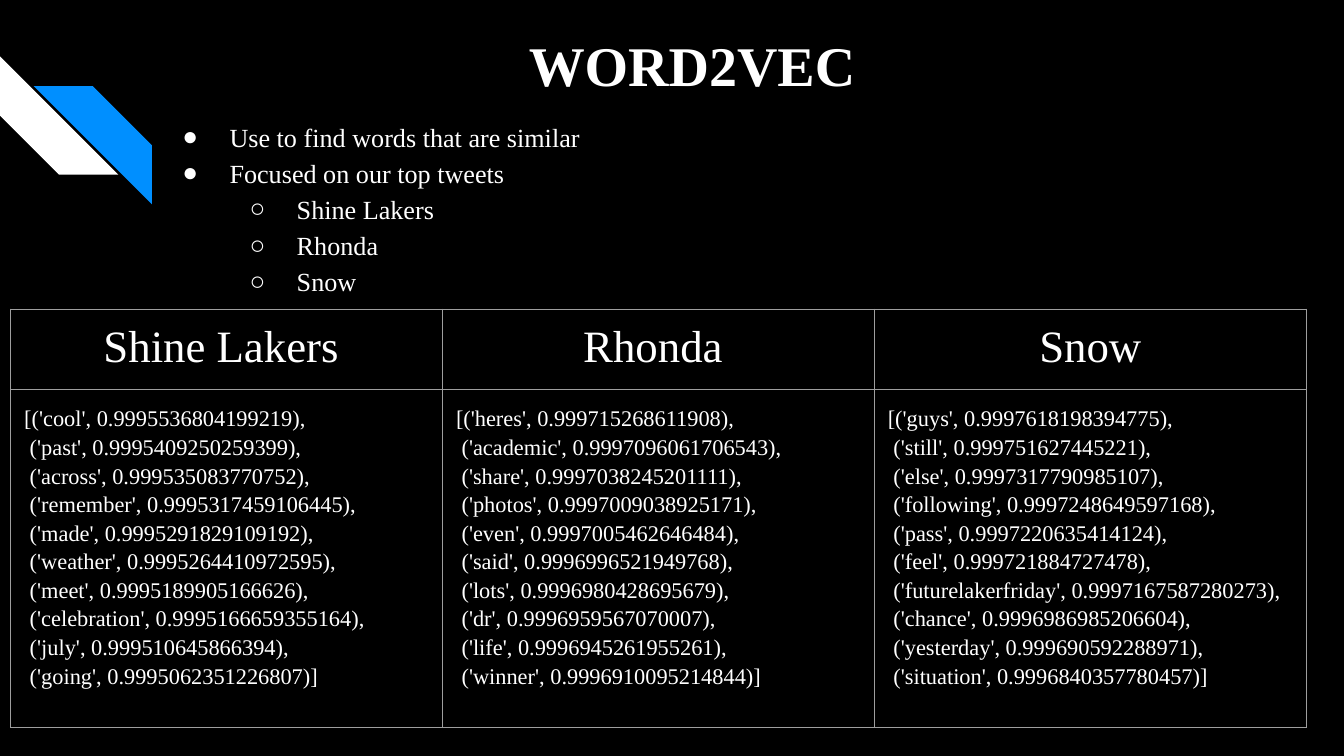
from lxml.etree import SubElement
from pptx import Presentation
from pptx.dml.color import RGBColor
from pptx.enum.shapes import MSO_SHAPE
from pptx.enum.text import MSO_ANCHOR, PP_ALIGN
from pptx.oxml.ns import qn
from pptx.util import Inches, Pt

BLACK = RGBColor(0x00, 0x00, 0x00)
WHITE = RGBColor(0xFF, 0xFF, 0xFF)
BLUE = RGBColor(0x00, 0x8F, 0xFF)
GREY = RGBColor(0x9E, 0x9E, 0x9E)
FONT = "Times New Roman"
INSET = 0.1
SLIDE_WIDTH = 10
SLIDE_HEIGHT = SLIDE_WIDTH * 9 / 16

# Content
TITLE = "WORD2VEC"
POINTS = [
    ("Use to find words that are similar", 0),
    ("Focused on our top tweets", 0),
    ("Shine Lakers", 1),
    ("Rhonda", 1),
    ("Snow", 1),
]
BULLETS = "●○"
SIMILAR_WORDS = {
    "Shine Lakers ": [
        ("cool", 0.9995536804199219), ("past", 0.9995409250259399),
        ("across", 0.999535083770752), ("remember", 0.9995317459106445),
        ("made", 0.9995291829109192), ("weather", 0.9995264410972595),
        ("meet", 0.9995189905166626), ("celebration", 0.9995166659355164),
        ("july", 0.999510645866394), ("going", 0.9995062351226807),
    ],
    "Rhonda ": [
        ("heres", 0.999715268611908), ("academic", 0.9997096061706543),
        ("share", 0.9997038245201111), ("photos", 0.9997009038925171),
        ("even", 0.9997005462646484), ("said", 0.9996996521949768),
        ("lots", 0.9996980428695679), ("dr", 0.9996959567070007),
        ("life", 0.9996945261955261), ("winner", 0.9996910095214844),
    ],
    "Snow": [
        ("guys", 0.9997618198394775), ("still", 0.999751627445221),
        ("else", 0.9997317790985107), ("following", 0.9997248649597168),
        ("pass", 0.9997220635414124), ("feel", 0.999721884727478),
        ("futurelakerfriday", 0.9997167587280273),
        ("chance", 0.9996986985206604), ("yesterday", 0.999690592288971),
        ("situation", 0.9996840357780457),
    ],
}
# left, top, rotation, colour
STRIPES = [(0, 0.42, 270, WHITE), (0.25, 0.64, 90, BLUE)]
STRIPE_SIZE = 0.88
TABLE_WIDTH = 9.64
ROW_HEIGHTS = [0.5, 2.51]


def write(frame, text, size, bold=False, align=PP_ALIGN.LEFT, spacing=None, level=None):
    """Add one paragraph to the frame, bulleted when a level is given."""
    first = frame.paragraphs[0]
    paragraph = frame.add_paragraph() if first.runs else first
    paragraph.alignment = align
    paragraph.line_spacing = spacing
    if level is not None:
        paragraph.level = level
        properties = paragraph._p.get_or_add_pPr()
        properties.set("marL", str(Inches(0.5 * (level + 1))))
        properties.set("indent", str(Inches(-0.35)))
        colour = SubElement(properties, qn("a:buClr"))
        SubElement(colour, qn("a:srgbClr"), val=str(WHITE))
        SubElement(properties, qn("a:buSzPts"), val=str(size * 100))
        SubElement(properties, qn("a:buFont"), typeface=FONT)
        SubElement(properties, qn("a:buChar"), char=BULLETS[level])
    for number, line in enumerate(text.split("\n")):
        if number:
            paragraph.add_line_break()
            SubElement(paragraph._p[-1], qn("a:rPr"), sz=str(size * 100))
        run = paragraph.add_run()
        run.text = line
        run.font.name = FONT
        run.font.size = Pt(size)
        run.font.bold = bold
        run.font.color.rgb = WHITE


def add_frame(slide, left, top, width, height):
    box = slide.shapes.add_textbox(Inches(left), Inches(top), Inches(width), Inches(height))
    frame = box.text_frame
    frame.word_wrap = True
    frame.margin_left = frame.margin_right = Inches(INSET)
    frame.margin_top = frame.margin_bottom = Inches(INSET)
    return frame


def format_cell(cell):
    """Thin grey borders, even insets and no fill."""
    properties = cell._tc.get_or_add_tcPr()
    for side in ("a:lnL", "a:lnR", "a:lnT", "a:lnB"):
        border = SubElement(properties, qn(side), w=str(Pt(0.75)))
        SubElement(SubElement(border, qn("a:solidFill")), qn("a:srgbClr"), val=str(GREY))
    cell.fill.background()
    cell.margin_left = cell.margin_right = Inches(INSET)
    cell.margin_top = cell.margin_bottom = Inches(INSET)


def main():
    deck = Presentation()
    deck.slide_width, deck.slide_height = Inches(SLIDE_WIDTH), Inches(SLIDE_HEIGHT)
    slide = deck.slides.add_slide(deck.slide_layouts[6])
    slide.background.fill.solid()
    slide.background.fill.fore_color.rgb = BLACK

    # Corner stripes
    for left, top, rotation, colour in STRIPES:
        stripe = slide.shapes.add_shape(
            MSO_SHAPE.DIAGONAL_STRIPE, Inches(left), Inches(top),
            Inches(STRIPE_SIZE), Inches(STRIPE_SIZE))
        stripe.rotation = rotation
        stripe.shadow.inherit = False
        stripe.fill.solid()
        stripe.fill.fore_color.rgb = colour
        stripe.line.fill.background()

    # Title
    title = add_frame(slide, 1.3, 0, 7.7, 1)
    title.vertical_anchor = MSO_ANCHOR.BOTTOM
    title.margin_bottom = Inches(0.27)
    write(title, TITLE, 30, bold=True, align=PP_ALIGN.CENTER)

    # Bullet points
    points = add_frame(slide, 1.11, 0.77, 7.77, 3.13)
    for text, level in POINTS:
        write(points, text, 14, spacing=1.15, level=level)

    # Table of similar words
    table = slide.shapes.add_table(
        len(ROW_HEIGHTS), len(SIMILAR_WORDS), Inches(0.08), Inches(2.3),
        Inches(TABLE_WIDTH), Inches(sum(ROW_HEIGHTS))).table
    for row, height in zip(table.rows, ROW_HEIGHTS):
        row.height = Inches(height)
    for index, (topic, matches) in enumerate(SIMILAR_WORDS.items()):
        heading, listing = table.cell(0, index), table.cell(1, index)
        format_cell(heading)
        format_cell(listing)
        write(heading.text_frame, topic, 24, align=PP_ALIGN.CENTER)
        pairs = ",\n ".join(f"('{word}', {score})" for word, score in matches)
        write(listing.text_frame, f"[{pairs}]", 12, spacing=1.15)

    deck.save("out.pptx")


if __name__ == "__main__":
    main()
